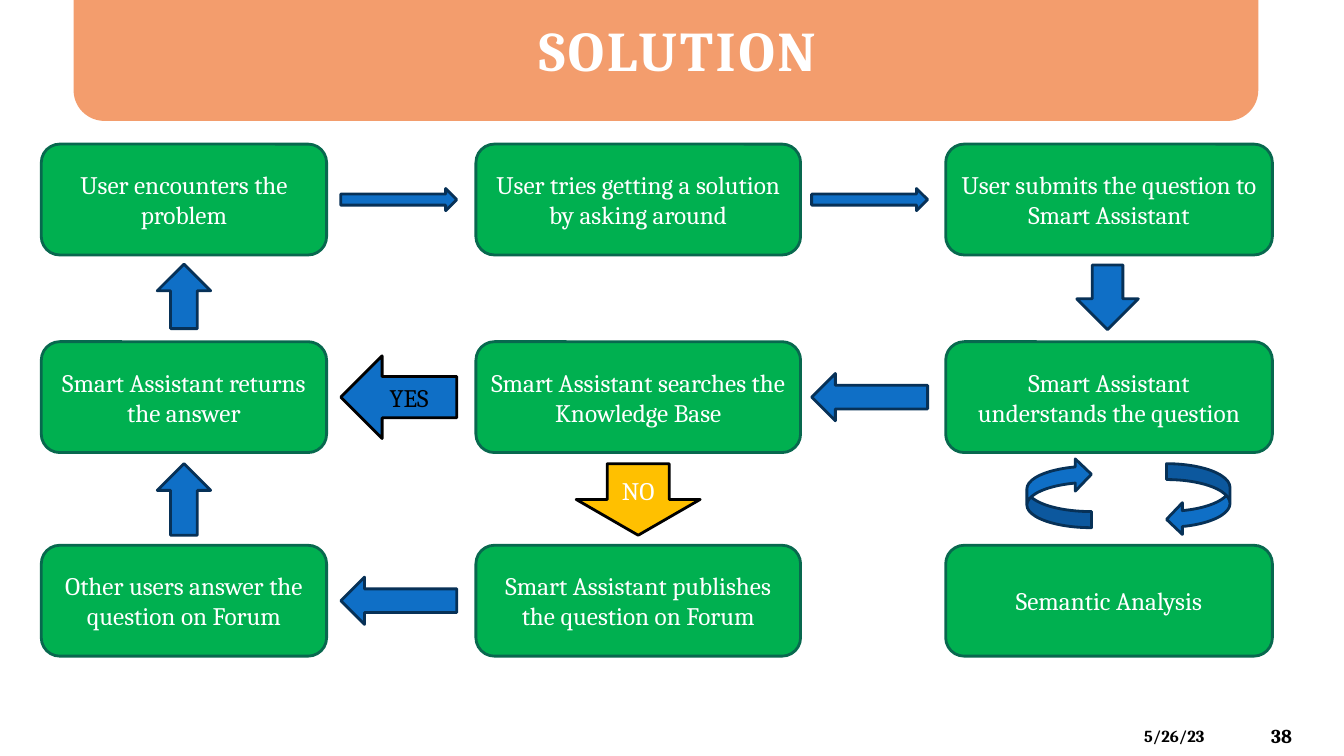
from dataclasses import dataclass

from pptx import Presentation
from pptx.dml.color import RGBColor
from pptx.enum.shapes import MSO_SHAPE
from pptx.enum.text import MSO_ANCHOR, MSO_AUTO_SIZE, PP_ALIGN
from pptx.shapes.autoshape import Shape
from pptx.slide import Slide
from pptx.text.text import TextFrame
from pptx.util import Inches, Pt

FONT = "Cambria"
WHITE, BLACK = "FFFFFF", "000000"
GREEN, GREEN_EDGE = "00B050", "08684E"
BLUE, BLUE_EDGE = "0F6FC6", "073157"
ORANGE, AMBER = "F39D6D", "FFC000"

COLUMNS = ((0.41, 2.83), (4.72, 3.22), (9.38, 3.24))
ROWS = (1.43, 3.39, 5.41)
STEP_HEIGHT = 1.1
GAP_LEFTS = (3.38, 8.05)
GAP_WIDTH = 1.15
STEPS = (
    ("User encounters the problem",
     "User tries getting a solution by asking around",
     "User submits the question to Smart Assistant"),
    ("Smart Assistant returns the answer",
     "Smart Assistant searches the Knowledge Base",
     "Smart Assistant understands the question"),
    ("Other users answer the question on Forum",
     "Smart Assistant publishes the question on Forum",
     "Semantic Analysis"),
)


@dataclass(frozen=True)
class Block:
    """A filled shape with an optional centred label."""

    kind: MSO_SHAPE
    left: float
    top: float
    width: float
    height: float
    text: str = ""
    fill: str = BLUE
    edge: str = BLUE_EDGE
    text_color: str = WHITE
    rotation: float = 0


def horizontal_arrow(kind: MSO_SHAPE, gap: int, row: int, height: float,
                     **style: str) -> Block:
    """Describe an arrow centred on a row in the gap between two columns."""
    top = ROWS[row] + (STEP_HEIGHT - height) / 2
    return Block(kind, GAP_LEFTS[gap], top, GAP_WIDTH, height, **style)


def vertical_arrow(kind: MSO_SHAPE, column: int, top: float, width: float,
                   height: float, **style: str) -> Block:
    """Describe an arrow centred on a column."""
    left, column_width = COLUMNS[column]
    return Block(kind, left + (column_width - width) / 2, top, width, height, **style)


ARROWS = (
    horizontal_arrow(MSO_SHAPE.RIGHT_ARROW, 0, 0, 0.22),
    horizontal_arrow(MSO_SHAPE.RIGHT_ARROW, 1, 0, 0.22),
    Block(MSO_SHAPE.DOWN_ARROW, 10.68, 2.63, 0.61, 0.64),
    horizontal_arrow(MSO_SHAPE.LEFT_ARROW, 1, 1, 0.47),
    horizontal_arrow(MSO_SHAPE.LEFT_ARROW, 0, 1, 0.82, text="YES",
                     edge=BLACK, text_color=BLACK),
    vertical_arrow(MSO_SHAPE.DOWN_ARROW, 1, 4.6, 1.23, 0.71, text="NO",
                   fill=AMBER, edge=BLACK),
    horizontal_arrow(MSO_SHAPE.LEFT_ARROW, 0, 2, 0.47),
    vertical_arrow(MSO_SHAPE.UP_ARROW, 0, 4.6, 0.53, 0.71),
    vertical_arrow(MSO_SHAPE.UP_ARROW, 0, 2.62, 0.53, 0.64),
    Block(MSO_SHAPE.CURVED_LEFT_ARROW, 11.57, 4.6, 0.63, 0.71),
    Block(MSO_SHAPE.CURVED_DOWN_ARROW, 10.16, 4.57, 0.69, 0.64, rotation=270),
)


def color(value: str) -> RGBColor:
    """Turn a hex string into a colour."""
    return RGBColor.from_string(value)


def write(frame: TextFrame, text: str, size: float, text_color: str,
          bold: bool = False, align: PP_ALIGN = PP_ALIGN.CENTER,
          anchor: MSO_ANCHOR = MSO_ANCHOR.MIDDLE, spacing: int = 0) -> None:
    """Write one formatted run into a text frame."""
    frame.word_wrap = True
    frame.auto_size = MSO_AUTO_SIZE.NONE
    frame.vertical_anchor = anchor
    paragraph = frame.paragraphs[0]
    paragraph.alignment = align
    run = paragraph.add_run()
    run.text = text
    run.font.name = FONT
    run.font.size = Pt(size)
    run.font.bold = bold
    run.font.color.rgb = color(text_color)
    if spacing:
        run.font._element.set("spc", str(spacing * 100))


def draw_block(slide: Slide, block: Block) -> Shape:
    """Draw a block with its outline and label."""
    shape = slide.shapes.add_shape(
        block.kind, Inches(block.left), Inches(block.top),
        Inches(block.width), Inches(block.height))
    shape.shadow.inherit = False
    shape.rotation = block.rotation
    shape.fill.solid()
    shape.fill.fore_color.rgb = color(block.fill)
    if block.edge:
        shape.line.color.rgb = color(block.edge)
        shape.line.width = Pt(2)
    else:
        shape.line.fill.background()
    if block.text:
        write(shape.text_frame, block.text, 18, block.text_color)
    return shape


def draw_heading(slide: Slide) -> None:
    """Draw the banner and place the title over it."""
    title = slide.shapes.title
    title.left, title.top = Inches(0.33), Inches(0)
    title.width, title.height = Inches(12.78), Inches(0.87)
    write(title.text_frame, "SOLUTION", 40, WHITE, bold=True,
          anchor=MSO_ANCHOR.BOTTOM, spacing=2)
    banner = draw_block(slide, Block(MSO_SHAPE.ROUNDED_RECTANGLE, 0.73, -0.63,
                                     11.75, 1.83, fill=ORANGE, edge=""))
    title.element.addprevious(banner.element)


def draw_footer(slide: Slide, text: str, left: float, top: float,
                width: float, height: float, size: float) -> None:
    """Add a bold footer text."""
    box = slide.shapes.add_textbox(Inches(left), Inches(top), Inches(width), Inches(height))
    write(box.text_frame, text, size, BLACK, bold=True, align=PP_ALIGN.LEFT)


def main() -> None:
    """Build and save the slide."""
    presentation = Presentation()
    presentation.slide_width = Inches(13.33)
    presentation.slide_height = Inches(7.5)
    slide = presentation.slides.add_slide(presentation.slide_layouts[5])
    draw_heading(slide)
    for top, texts in zip(ROWS, STEPS):
        for (left, width), text in zip(COLUMNS, texts):
            draw_block(slide, Block(MSO_SHAPE.ROUNDED_RECTANGLE, left, top, width,
                                    STEP_HEIGHT, text, GREEN, GREEN_EDGE))
    for arrow in ARROWS:
        draw_block(slide, arrow)
    draw_footer(slide, "5/26/23", 11.25, 7.15, 1.17, 0.3, 12)
    draw_footer(slide, "38", 12.51, 7.1, 0.74, 0.4, 14)
    presentation.save("out.pptx")


if __name__ == "__main__":
    main()
